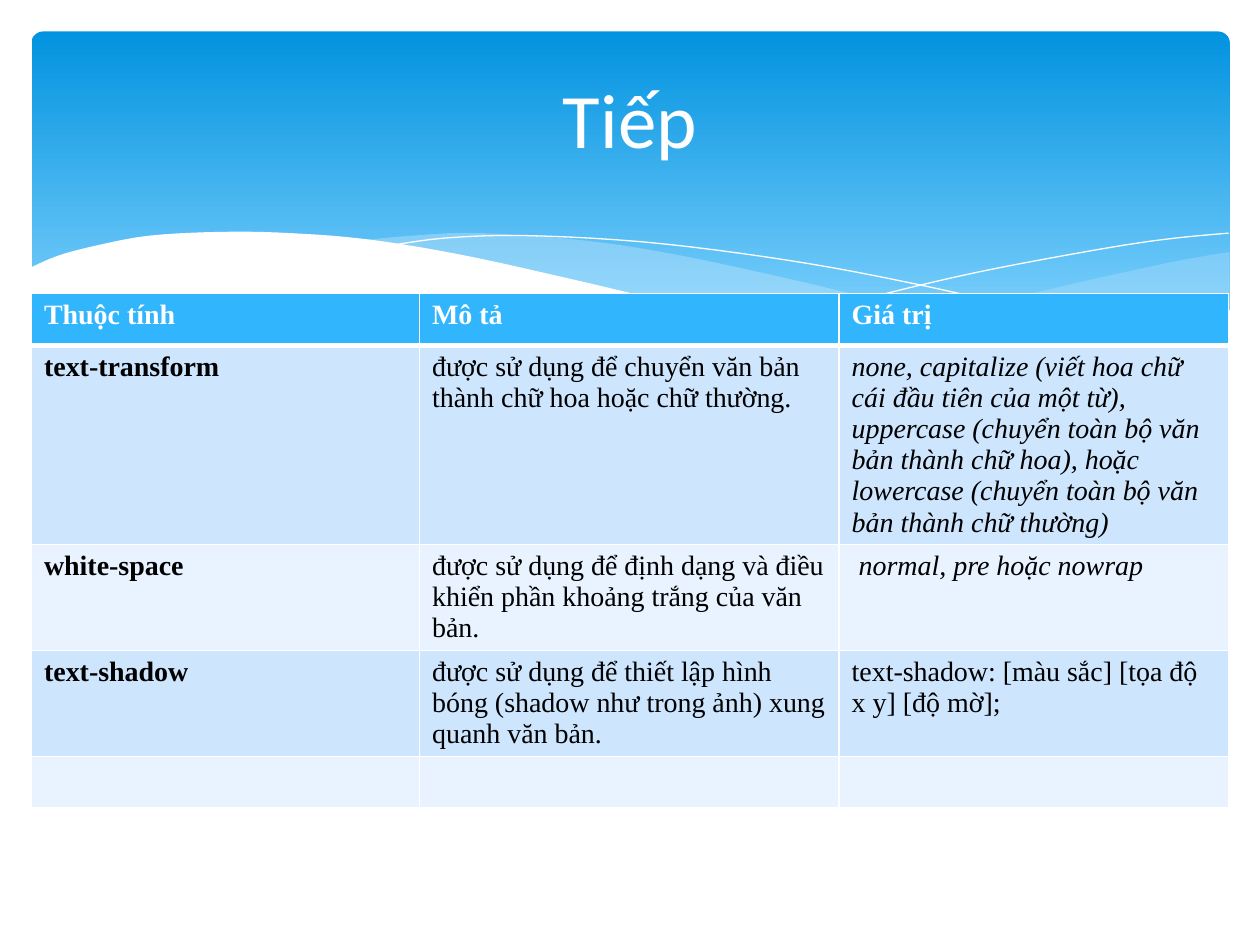
import dataclasses

import lxml.etree
import pptx
import pptx.dml.color
import pptx.enum.shapes
import pptx.enum.text
import pptx.oxml.ns
import pptx.util

Inches = pptx.util.Inches
Pt = pptx.util.Pt
qualified = pptx.oxml.ns.qn


@dataclasses.dataclass(frozen=True)
class Theme:
    white: str = "FFFFFF"
    black: str = "000000"
    banner_top: str = "0293E0"
    banner_bottom: str = "83D3FE"
    mist: str = "C6E7FC"
    header: str = "31B6FD"
    bands: tuple = ("CEE5FE", "E8F3FF")
    title_font: str = "Calibri"
    table_font: str = "Times New Roman"
    title_size: int = 44
    table_size: int = 16


def color(value):
    return pptx.dml.color.RGBColor.from_string(value)


def smooth(anchors, steps=5):
    """Return points on a Catmull-Rom curve through the anchors."""
    padded = [anchors[0], *anchors, anchors[-1]]
    points = [anchors[0]]
    for a, b, c, d in zip(padded, padded[1:], padded[2:], padded[3:]):
        for step in range(1, steps + 1):
            t = step / steps
            points.append(tuple(
                (2 * q + (r - p) * t + (2 * p - 5 * q + 4 * r - s) * t**2
                 + (3 * q - p - 3 * r + s) * t**3) / 2
                for p, q, r, s in zip(a, b, c, d)))
    return points


class SlideBuilder:
    """Hold the theme and the current slide and draw its elements."""

    def __init__(self, presentation, theme):
        self.theme = theme
        self.slide = presentation.slides.add_slide(presentation.slide_layouts[5])
        self.shapes = self.slide.shapes

    def banner(self, left, top, width, height):
        shape = self.shapes.add_shape(
            pptx.enum.shapes.MSO_SHAPE.ROUNDED_RECTANGLE,
            Inches(left), Inches(top), Inches(width), Inches(height))
        shape.adjustments[0] = 0.034
        shape.shadow.inherit = False
        shape.line.fill.background()
        shape.fill.gradient()
        shape.fill.gradient_angle = 270
        stops = shape.fill.gradient_stops
        colors = (self.theme.banner_top, self.theme.banner_bottom)
        for stop, position, value in zip(stops, (0, 0.9), colors):
            stop.position = position
            stop.color.rgb = color(value)

    def outline(self, points, close):
        points = [(Inches(x), Inches(y)) for x, y in points]
        builder = self.shapes.build_freeform(*points[0])
        builder.add_line_segments(points[1:], close=close)
        shape = builder.convert_to_shape()
        shape.shadow.inherit = False
        return shape

    def wave(self, points, fill, opacity=100):
        shape = self.outline(points, True)
        shape.line.fill.background()
        shape.fill.solid()
        shape.fill.fore_color.rgb = color(fill)
        if opacity < 100:
            value = shape.fill._xPr.find(".//" + qualified("a:srgbClr"))
            lxml.etree.SubElement(value, qualified("a:alpha"), val=str(opacity * 1000))

    def hairline(self, points):
        shape = self.outline(points, False)
        shape.fill.background()
        shape.line.color.rgb = color(self.theme.white)
        shape.line.width = Pt(0)

    def border(self, cell, widths):
        properties = cell._tc.get_or_add_tcPr()
        for index, (side, width) in enumerate(zip("LRTB", widths)):
            line = lxml.etree.Element(qualified(f"a:ln{side}"), w=str(Pt(width)))
            fill = lxml.etree.SubElement(line, qualified("a:solidFill"))
            lxml.etree.SubElement(fill, qualified("a:srgbClr"), val=self.theme.white)
            properties.insert(index, line)

    def cell(self, cell, text, row, column):
        header = row == 0
        cell.fill.solid()
        cell.fill.fore_color.rgb = color(
            self.theme.header if header else self.theme.bands[(row - 1) % 2])
        self.border(cell, (1, 1, 3 if row == 1 else 1, 3 if header else 1))
        paragraph = cell.text_frame.paragraphs[0]
        paragraph.text = text
        font = paragraph.font
        font.name = self.theme.table_font
        font.size = Pt(self.theme.table_size)
        font.bold = header or column == 0
        font.italic = column == 2 and row in (1, 2)
        font.color.rgb = color(self.theme.white if header else self.theme.black)

    def table(self, left, top, widths, row_height, rows):
        table = self.shapes.add_table(
            len(rows), len(widths), Inches(left), Inches(top),
            Inches(sum(widths)), Inches(row_height * len(rows))).table
        for column, width in zip(table.columns, widths):
            column.width = Inches(width)
        for row, texts in enumerate(rows):
            table.rows[row].height = Inches(row_height)
            for column, text in enumerate(texts):
                self.cell(table.cell(row, column), text, row, column)

    def title(self, text, left, top, width, height):
        shape = self.shapes.title
        shape.left, shape.top = Inches(left), Inches(top)
        shape.width, shape.height = Inches(width), Inches(height)
        frame = shape.text_frame
        frame.text = text
        frame.vertical_anchor = pptx.enum.text.MSO_ANCHOR.MIDDLE
        paragraph = frame.paragraphs[0]
        paragraph.alignment = pptx.enum.text.PP_ALIGN.CENTER
        paragraph.font.name = self.theme.title_font
        paragraph.font.size = Pt(self.theme.title_size)
        paragraph.font.color.rgb = color(self.theme.white)
        self.shapes._spTree.append(shape.element)


RIGHT_TOP = [(9.76, 2), (9.35, 2.07), (8.61, 2.23), (7.79, 2.42), (6.61, 2.65)]
RIGHT_BOTTOM = [(6.61, 2.65), (7.32, 2.74), (8.14, 2.78), (8.89, 2.72), (9.35, 2.62), (9.76, 2.47)]
MIDDLE_TOP = [(8.93, 2.73), (8.07, 2.6), (7.06, 2.4), (6.29, 2.22), (5.41, 2.03),
              (4.65, 1.91), (3.8, 1.85), (3.28, 1.87), (2.86, 1.91)]
MIDDLE_BOTTOM = [(2.86, 1.91), (3.62, 2.03), (4.49, 2.22), (5.66, 2.48), (6.5, 2.64),
                 (7.22, 2.74), (8.07, 2.78), (8.57, 2.77), (8.93, 2.73)]
FALLING_LINE = [(3.09, 1.95), (3.53, 1.89), (4.16, 1.87), (5.1, 1.92), (6.08, 2.04),
                (6.95, 2.19), (7.95, 2.41), (9.07, 2.72)]
RISING_LINE = [(6.13, 2.57), (6.95, 2.35), (7.76, 2.16), (8.66, 1.99), (9.24, 1.9), (9.75, 1.85)]
FRONT_TOP = [(9.77, 2.46), (9.3, 2.62), (8.75, 2.73), (8.09, 2.77), (7.26, 2.72),
             (6.48, 2.62), (5.55, 2.45), (4.47, 2.2), (3.65, 2.02), (2.92, 1.9),
             (2.3, 1.85), (1.77, 1.84), (1.19, 1.87), (0.76, 1.95), (0.46, 2.03), (0.23, 2.13)]

ROWS = [
    ("Thuộc tính", "Mô tả", "Giá trị"),
    ("text-transform",
     "được sử dụng để chuyển văn bản thành chữ hoa hoặc chữ thường.",
     "none, capitalize (viết hoa chữ cái đầu tiên của một từ), uppercase (chuyển toàn bộ "
     "văn bản thành chữ hoa), hoặc lowercase (chuyển toàn bộ văn bản thành chữ thường)"),
    ("white-space",
     "được sử dụng để định dạng và điều khiển phần khoảng trắng của văn bản.",
     " normal, pre hoặc nowrap"),
    ("text-shadow",
     "được sử dụng để thiết lập hình bóng (shadow như trong ảnh) xung quanh văn bản.",
     "text-shadow: [màu sắc] [tọa độ x y] [độ mờ];"),
    ("", "", ""),
]


def main():
    presentation = pptx.Presentation()
    presentation.slide_width, presentation.slide_height = Inches(10), Inches(7.5)
    theme = Theme()
    builder = SlideBuilder(presentation, theme)
    builder.banner(0.25, 0.25, 9.51, 2.7)
    builder.wave(smooth(RIGHT_TOP) + smooth(RIGHT_BOTTOM), theme.mist, 29)
    builder.wave(smooth(MIDDLE_TOP) + smooth(MIDDLE_BOTTOM), theme.mist, 40)
    builder.hairline(smooth(FALLING_LINE))
    builder.hairline(smooth(RISING_LINE))
    builder.wave(smooth(FRONT_TOP) + [(0.23, 3.29), (9.77, 3.29)], theme.white)
    builder.table(0.25, 2.33, (3.08, 3.33, 3.09), 0.41, ROWS)
    builder.title("Tiếp", 0.5, 0.37, 9, 1.13)
    presentation.save("out.pptx")


if __name__ == "__main__":
    main()
